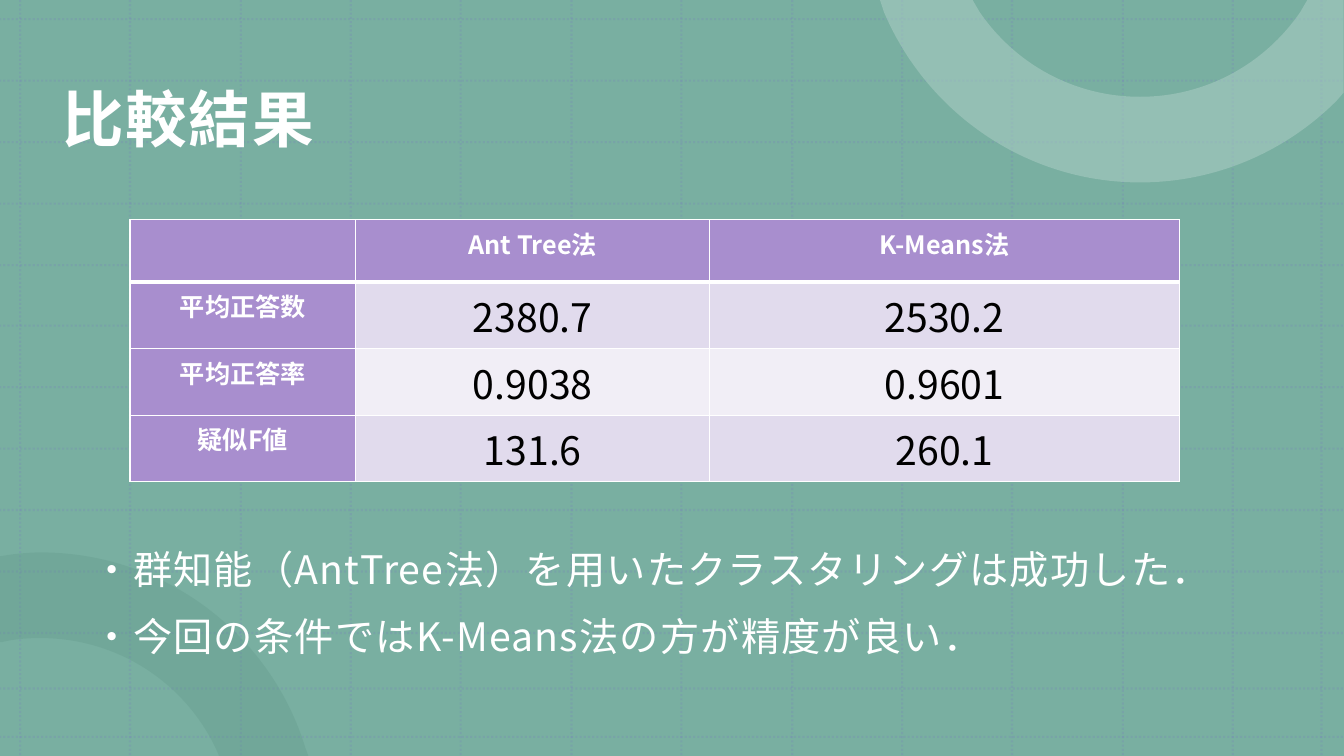
from lxml.etree import SubElement
from pptx import Presentation
from pptx.dml.color import RGBColor
from pptx.enum.dml import MSO_LINE
from pptx.enum.shapes import MSO_CONNECTOR, MSO_SHAPE
from pptx.enum.text import MSO_ANCHOR, PP_ALIGN
from pptx.oxml.ns import qn
from pptx.util import Pt

PX = 9144  # 100 px to the inch
FONT = "Noto Sans CJK JP"
GREEN = RGBColor(0x79, 0xAF, 0xA1)
DARK_GREEN = RGBColor(0x53, 0x8B, 0x7C)
PALE_GREEN = RGBColor(0xAF, 0xCF, 0xC7)
GRID_BLUE = RGBColor(0x76, 0x77, 0xC3)
PURPLE = RGBColor(0xA8, 0x8E, 0xCE)
LILAC = RGBColor(0xE1, 0xDB, 0xED)
PALE_LILAC = RGBColor(0xF1, 0xEE, 0xF6)
WHITE = RGBColor(0xFF, 0xFF, 0xFF)
BLACK = RGBColor(0x00, 0x00, 0x00)


def write(frame, text, size, color=WHITE, bold=False, align=PP_ALIGN.LEFT,
          line_spacing=None, before=0, tracking=0):
    """Fill a text frame, one paragraph for each line of text."""
    for i, line in enumerate(text.split("\n")):
        paragraph = frame.add_paragraph() if i else frame.paragraphs[0]
        paragraph.alignment = align
        paragraph.space_before = Pt(before)
        if line_spacing:
            paragraph.line_spacing = line_spacing
        run = paragraph.add_run()
        run.text = line
        run.font.size = Pt(size)
        run.font.bold = bold
        run.font.name = FONT
        run.font.color.rgb = color
        properties = run.font._element
        SubElement(properties, qn("a:ea"), typeface=FONT)
        if tracking:
            properties.set("spc", str(tracking))


def paint(shape, color, opacity=100):
    """Give a shape a plain fill without line or shadow."""
    shape.shadow.inherit = False
    shape.line.fill.background()
    shape.fill.solid()
    shape.fill.fore_color.rgb = color
    if opacity < 100:
        fill_color = next(shape._element.spPr.iter(qn("a:srgbClr")))
        SubElement(fill_color, qn("a:alpha"), val=str(opacity * 1000))


prs = Presentation()
prs.slide_width, prs.slide_height = 12192000, 750 * PX
slide = prs.slides.add_slide(prs.slide_layouts[6])

# Green ground
ground = slide.shapes.add_shape(
    MSO_SHAPE.RECTANGLE, 0, 0, prs.slide_width, prs.slide_height)
paint(ground, GREEN)

# Dotted grid
columns = [20 + round(109.36 * i) for i in range(12)] + [1311]
rows = [19 + round(60.9 * i) for i in range(11)] + [683, 731]
grid = [(x, 0, x, 750) for x in columns] + [(-1, y, 1333, y) for y in rows]
for ends in grid:
    grid_line = slide.shapes.add_connector(
        MSO_CONNECTOR.STRAIGHT, *(value * PX for value in ends))
    grid_line.line.color.rgb = GRID_BLUE
    grid_line.line.width = Pt(1.5)
    grid_line.line.dash_style = MSO_LINE.ROUND_DOT
    line_color = next(grid_line._element.spPr.iter(qn("a:srgbClr")))
    SubElement(line_color, qn("a:alpha"), val="20000")
    SubElement(grid_line._element.spPr, qn("a:effectLst"))

# Cropped rings: two numbers are a corner, six are a Bezier curve
lower_ring = [(40, 548), (164, 548, 269, 630, 303, 742), (306, 750), (217, 750),
              (217, 749), (188, 681, 120, 633, 40, 633),
              (27, 633, 14, 634, 2, 637), (-1, 637), (-1, 552), (12, 550),
              (21, 549, 31, 548, 40, 548)]
upper_ring = [(873, 0), (965, 0), (972, 12), (1007, 63, 1065, 96, 1131, 96),
              (1197, 96, 1255, 63, 1290, 12), (1297, 0), (1333, 0), (1333, 92),
              (1326, 100), (1276, 150, 1207, 181, 1131, 181),
              (1017, 181, 919, 111, 877, 12), (873, 0)]
for outline, color, opacity in [(lower_ring, DARK_GREEN, 20),
                                (upper_ring, PALE_GREEN, 50)]:
    ends = [segment[-2:] for segment in outline]
    builder = slide.shapes.build_freeform(*ends[0], scale=PX)
    builder.add_line_segments(ends[1:], close=True)
    ring = builder.convert_to_shape()
    paint(ring, color, opacity)
    # Bend the straight segments that have control points
    left, top = (min(values) for values in zip(*ends))
    straight = list(ring._element.spPr.iter(qn("a:lnTo")))
    for segment, element in zip(outline[1:], straight):
        if len(segment) == 6:
            element.tag = qn("a:cubicBezTo")
            for i, (x, y) in enumerate([segment[:2], segment[2:4]]):
                control = SubElement(element, qn("a:pt"),
                                     x=str(x - left), y=str(y - top))
                element.insert(i, control)

# Title and conclusions
conclusions = ("・群知能（AntTree法）を用いたクラスタリングは成功した．\n"
               "・今回の条件ではK-Means法の方が精度が良い．")
for box, anchor, text, style in [
    ((50, 40, 1173, 145), MSO_ANCHOR.MIDDLE, "比較結果",
     dict(size=44, bold=True, line_spacing=1.1, tracking=120)),
    ((80, 522, 1173, 167), MSO_ANCHOR.TOP, conclusions,
     dict(size=28, line_spacing=1.14, before=10, tracking=90)),
]:
    frame = slide.shapes.add_textbox(*(value * PX for value in box)).text_frame
    frame.word_wrap = True
    frame.vertical_anchor = anchor
    frame.margin_left = frame.margin_right = frame.margin_top = 12 * PX
    frame.margin_bottom = 10 * PX
    write(frame, text, **style)

# Comparison table
results = [["", "Ant Tree法", "K-Means法"],
           ["平均正答数", "2380.7", "2530.2"],
           ["平均正答率", "0.9038", "0.9601"],
           ["疑似F値", "131.6", "260.1"]]
comparison = slide.shapes.add_table(
    4, 3, 129 * PX, 218 * PX, 1041 * PX, 260 * PX).table
for column, width in zip(comparison.columns, (224, 351, 466)):
    column.width = width * PX
for r, result in enumerate(results):
    comparison.rows[r].height = (66 if r else 62) * PX
    for c, text in enumerate(result):
        cell = comparison.cell(r, c)
        # White borders, thicker under the header row
        thick = {0: "lnB", 1: "lnT"}.get(r)
        for side in ("lnL", "lnR", "lnT", "lnB"):
            border = SubElement(cell._tc.get_or_add_tcPr(), qn("a:" + side),
                                w=str(Pt(3 if side == thick else 1)))
            border_fill = SubElement(border, qn("a:solidFill"))
            SubElement(border_fill, qn("a:srgbClr"), val=str(WHITE))
        heading = r == 0 or c == 0
        cell.fill.solid()
        cell.fill.fore_color.rgb = (
            PURPLE if heading else LILAC if r % 2 else PALE_LILAC)
        if text:
            write(cell.text_frame, text, size=18 if heading else 28,
                  color=WHITE if heading else BLACK, bold=heading,
                  align=PP_ALIGN.CENTER)

prs.save("out.pptx")
